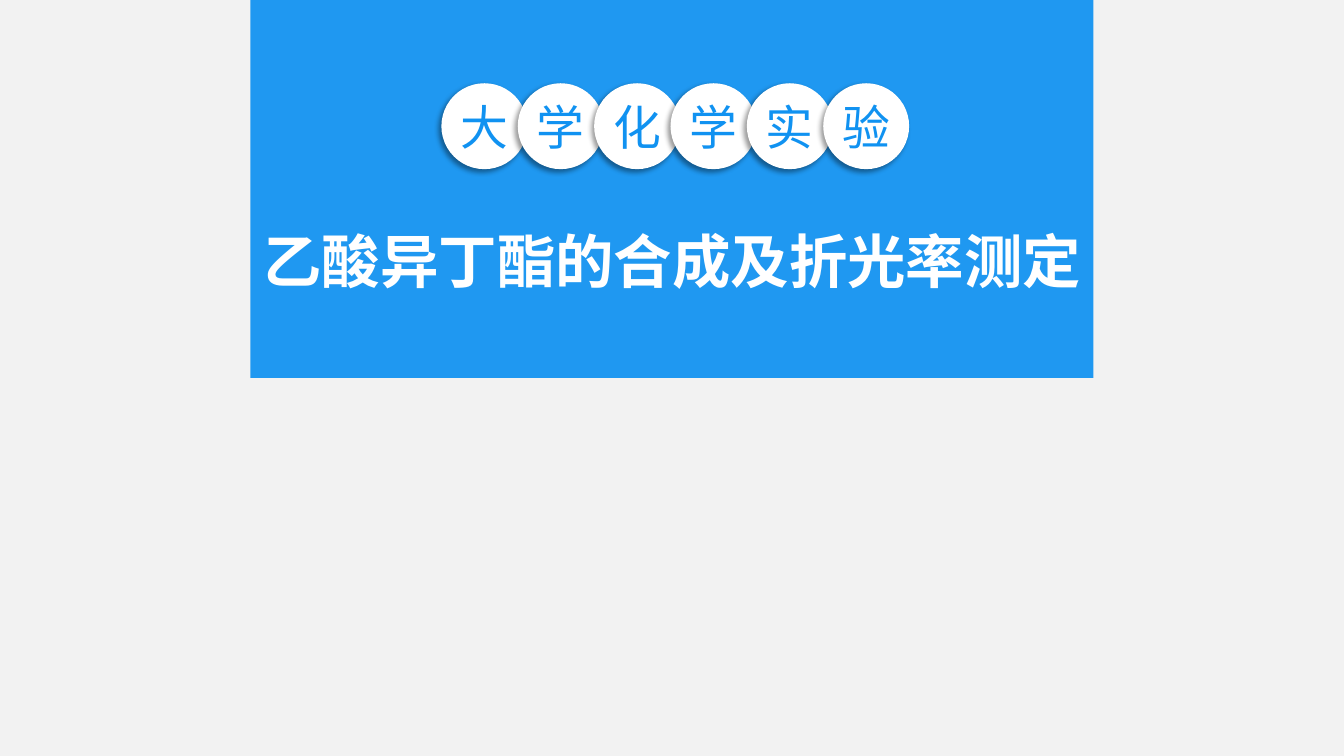
from lxml.etree import SubElement
from pptx import Presentation
from pptx.dml.color import RGBColor
from pptx.enum.shapes import MSO_SHAPE as Shape
from pptx.enum.text import MSO_ANCHOR as Anchor, MSO_AUTO_SIZE as AutoSize, PP_ALIGN as Align
from pptx.oxml.ns import qn
from pptx.util import Inches, Pt

BLUE = RGBColor(0x10, 0x92, 0xF1)
WHITE = RGBColor(0xFF, 0xFF, 0xFF)
PALE_GREY = RGBColor(0xF2, 0xF2, 0xF2)
COLUMNS, ROWS = 176, 99


class Cover:
    """Draw the cover elements on a grid of columns and rows."""

    latin = "Arial"
    chinese = "Noto Sans CJK SC"

    def __init__(self, deck):
        self.column = deck.slide_width / COLUMNS
        self.row = deck.slide_height / ROWS
        self.slide = deck.slides.add_slide(deck.slide_layouts[6])
        background = self.slide.background.fill
        background.solid()
        background.fore_color.rgb = PALE_GREY

    def place(self, left, top, width, height):
        return (round(left * self.column), round(top * self.row),
                round(width * self.column), round(height * self.row))

    def panel(self, shapes, kind, area, color):
        panel = shapes.add_shape(kind, *self.place(*area))
        panel.fill.solid()
        panel.fill.fore_color.rgb = color
        panel.line.fill.background()
        panel.shadow.inherit = False
        return panel

    def banner(self, area, opacity):
        banner = self.panel(self.slide.shapes, Shape.RECTANGLE, area, BLUE)
        tint = banner.element.spPr.find(qn("a:solidFill"))[0]
        SubElement(tint, qn("a:alpha"), val=str(opacity * 1000))

    def label(self, shapes, wording, area, size, color, font, bold=False, anchor=Anchor.TOP):
        label = shapes.add_textbox(*self.place(*area))
        frame = label.text_frame
        frame.word_wrap = False
        frame.auto_size = AutoSize.SHAPE_TO_FIT_TEXT
        frame.vertical_anchor = anchor
        line = frame.paragraphs[0]
        line.alignment = Align.CENTER
        run = line.add_run()
        run.text = wording
        run.font.size = Pt(size)
        run.font.bold = bold
        run.font.color.rgb = color
        run.font.name = font
        SubElement(run.font._element, qn("a:ea"), typeface=self.chinese)

    def drop_shadow(self, disc):
        effects = disc.element.spPr.find(qn("a:effectLst"))
        shadow = SubElement(effects, qn("a:outerShdw"), blurRad=str(Pt(4)), dist=str(Pt(3)),
                            dir=str(135 * 60000), algn="tr", rotWithShape="0")
        black = SubElement(shadow, qn("a:srgbClr"), val="000000")
        SubElement(black, qn("a:alpha"), val="40000")

    def badge(self, character, left, top, size, text_size):
        badge = self.slide.shapes.add_group_shape().shapes
        self.drop_shadow(self.panel(badge, Shape.OVAL, (left, top, size, size), WHITE))
        inset = (size - text_size) / 2
        self.label(badge, character, (left + inset, top + inset, text_size, text_size),
                   36, BLUE, self.chinese, anchor=Anchor.MIDDLE)


def main():
    deck = Presentation()
    deck.slide_width, deck.slide_height = Inches(14.06), Inches(7.91)
    cover = Cover(deck)
    cover.banner((32.8, 0, 110.4, 49.5), 93)
    cover.label(cover.slide.shapes, "乙酸异丁酯的合成及折光率测定",
                (32.8, 28.8, 110.6, 10.5), 44, WHITE, cover.latin, bold=True)
    for position, character in enumerate("大学化学实验"):
        cover.badge(character, 57.8 + 10 * position, 10.9, 11.25, 8.9)
    deck.save("out.pptx")


if __name__ == "__main__":
    main()
